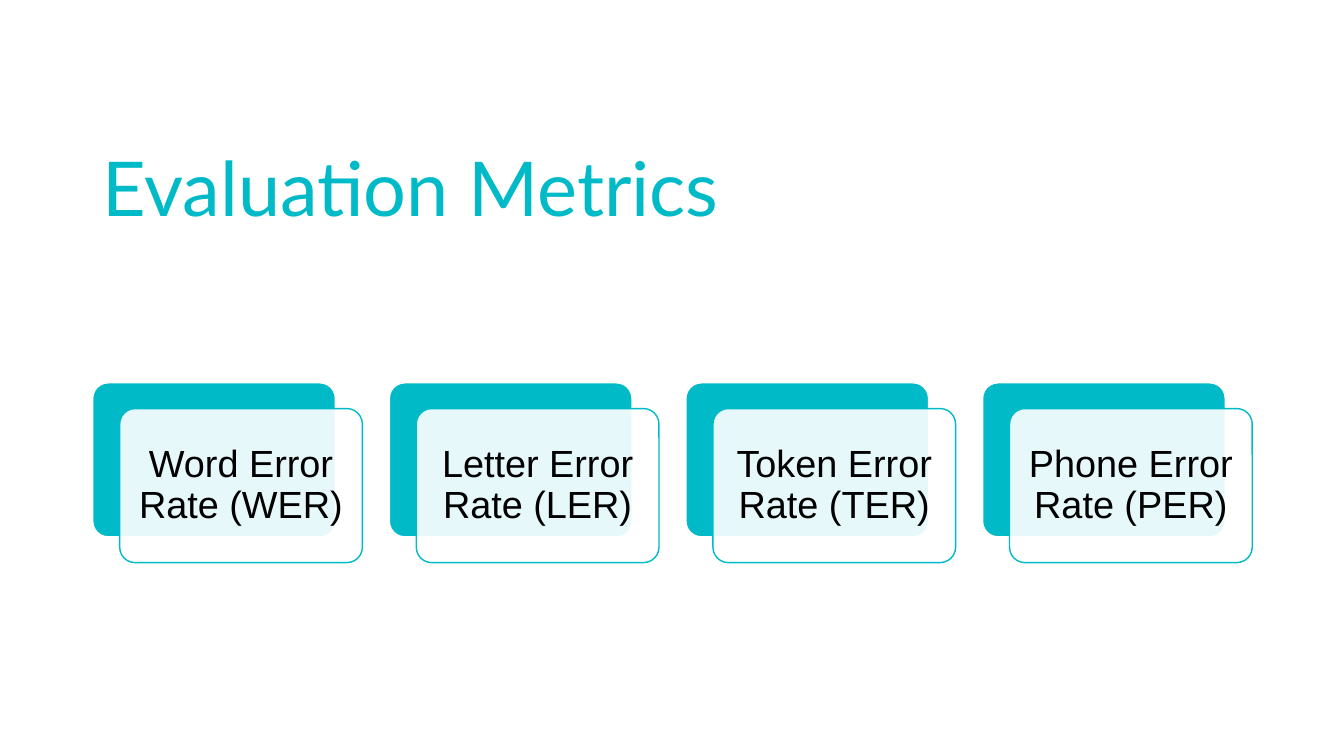
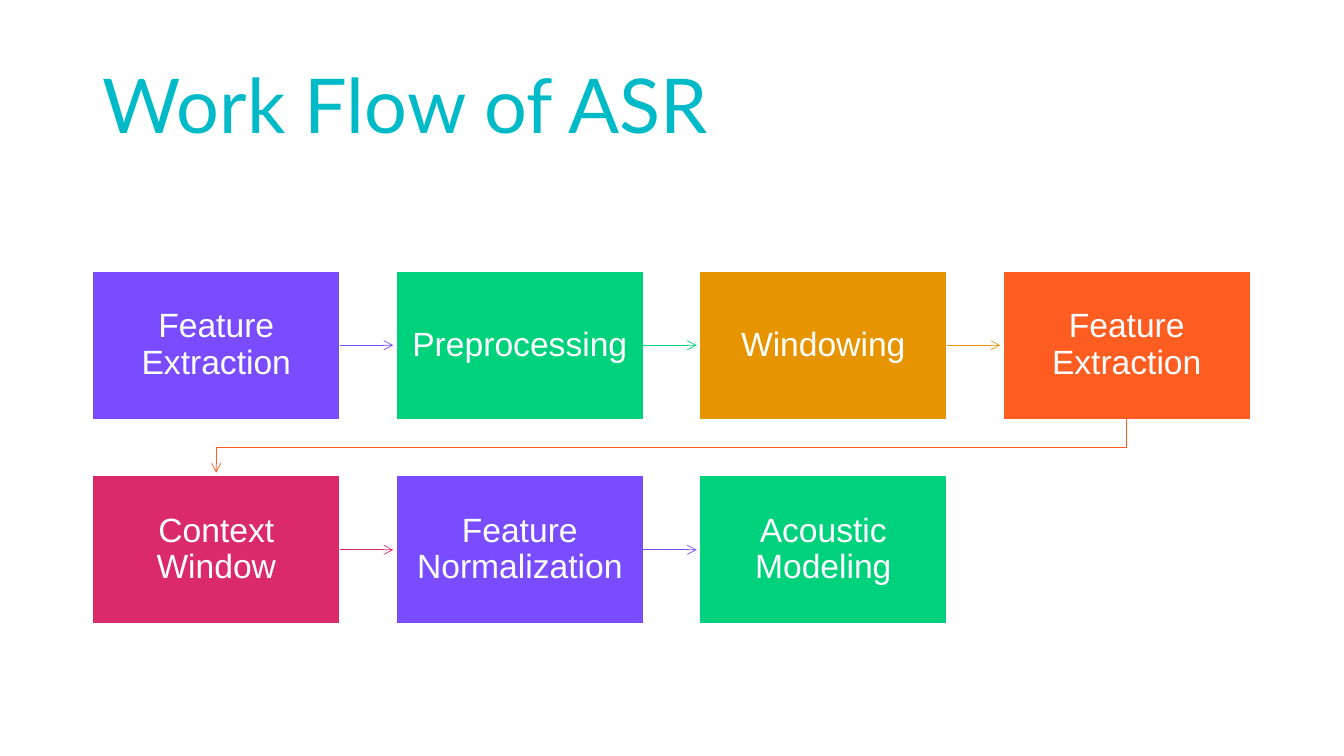
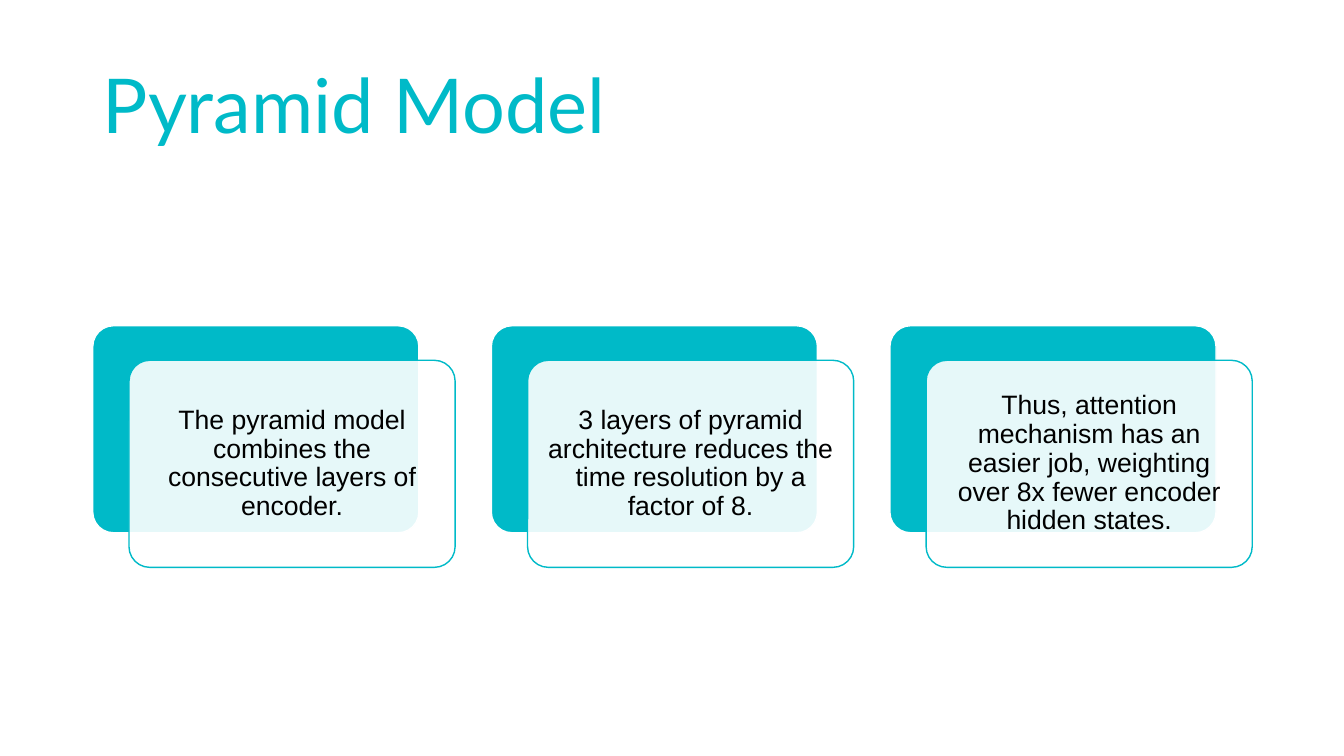
from dataclasses import dataclass

import pptx
import pptx.dml.color
import pptx.enum.shapes
import pptx.enum.text
import pptx.oxml
import pptx.oxml.ns
import pptx.util

Inches = pptx.util.Inches
Pt = pptx.util.Pt
SHAPE = pptx.enum.shapes.MSO_SHAPE
ANCHOR = pptx.enum.text.MSO_ANCHOR
ALIGN = pptx.enum.text.PP_ALIGN

TEAL, WHITE, BLACK = "00BAC8", "FFFFFF", "000000"
VIOLET, GREEN, AMBER, ORANGE, PINK = "794DFF", "00D17D", "E69500", "FE5D21", "DA2A69"

LEFT, SPAN = 0.92, 11.5
BOX_W, BOX_H, BOX_GAP, BOX_TOP, COLUMNS = 2.45, 1.47, 0.56, 2.69, 4
ARROW_LENGTH = 0.53


@dataclass
class CardRow:
    texts: list[str]
    middle: float
    size: int
    inset: float


@dataclass
class Step:
    text: str
    color: str


METRICS = CardRow(
    ["Word Error Rate (WER)", "Letter Error Rate (LER)",
     "Token Error Rate (TER)", "Phone Error Rate (PER)"],
    middle=4.69, size=27, inset=0.11)

PYRAMID = CardRow(
    ["The pyramid model combines the consecutive layers of encoder.",
     "3 layers of pyramid architecture reduces the time resolution by a factor of 8.",
     "Thus, attention mechanism has an easier job, weighting over 8x fewer encoder hidden states."],
    middle=4.43, size=19, inset=0.08)

STEPS = [
    Step("Feature Extraction", VIOLET),
    Step("Preprocessing", GREEN),
    Step("Windowing", AMBER),
    Step("Feature Extraction", ORANGE),
    Step("Context Window", PINK),
    Step("Feature Normalization", VIOLET),
    Step("Acoustic Modeling", GREEN),
]


def rgb(color: str) -> pptx.dml.color.RGBColor:
    return pptx.dml.color.RGBColor.from_string(color)


def write(s, text: str, font: str, size: int, color: str, anchor, align,
          inset_x: float, inset_y: float) -> None:
    tf = s.text_frame
    tf.word_wrap = True
    tf.vertical_anchor = anchor
    tf.margin_left = tf.margin_right = Inches(inset_x)
    tf.margin_top = tf.margin_bottom = Inches(inset_y)
    p = tf.paragraphs[0]
    p.text = text
    p.alignment = align
    p.line_spacing = 0.9
    r = p.runs[0]
    r.font.name = font
    r.font.size = Pt(size)
    r.font.color.rgb = rgb(color)


def add_titled_slide(prs, title: str, height: float = 1.14):
    slide = prs.slides.add_slide(prs.slide_layouts[6])
    s = slide.shapes.add_textbox(Inches(LEFT), Inches(0.4), Inches(SPAN), Inches(height))
    write(s, title, "Lato", 54, TEAL, ANCHOR.BOTTOM, ALIGN.LEFT, 0.1, 0.05)
    return slide


def add_box(slide, kind, x: float, y: float, w: float, h: float, fill: str, line: str):
    s = slide.shapes.add_shape(kind, Inches(x), Inches(y), Inches(w), Inches(h))
    s.shadow.inherit = False
    s.fill.solid()
    s.fill.fore_color.rgb = rgb(fill)
    s.line.color.rgb = rgb(line)
    s.line.width = Pt(1)
    return s


def set_opacity(s, percent: int) -> None:
    color = s.element.spPr.find(".//" + pptx.oxml.ns.qn("a:srgbClr"))
    alpha = pptx.oxml.parse_xml(
        f'<a:alpha {pptx.oxml.ns.nsdecls("a")} val="{percent * 1000}"/>')
    color.append(alpha)


def add_cards(slide, row: CardRow) -> None:
    """Fill the span with pairs of offset cards; all sizes follow from the card width."""
    w = SPAN / ((len(row.texts) - 1) * 11 / 9 + 10 / 9)
    h, shift_x, shift_y = 0.635 * w, w / 9, 0.106 * w
    top = row.middle - (h + shift_y) / 2
    for i, text in enumerate(row.texts):
        x = LEFT + i * w * 11 / 9
        back = add_box(slide, SHAPE.ROUNDED_RECTANGLE, x, top, w, h, TEAL, WHITE)
        front = add_box(slide, SHAPE.ROUNDED_RECTANGLE, x + shift_x, top + shift_y,
                        w, h, WHITE, TEAL)
        for s in (back, front):
            s.adjustments[0] = 0.1
        set_opacity(front, 90)
        write(front, text, "Arial", row.size, BLACK, ANCHOR.MIDDLE, ALIGN.CENTER,
              row.inset, row.inset)


def style_arrow(s, color: str) -> None:
    s.line.color.rgb = rgb(color)
    s.line.width = Pt(0.5)
    ns = pptx.oxml.ns.nsdecls("a")
    s.element.spPr.get_or_add_ln().append(
        pptx.oxml.parse_xml(f'<a:tailEnd {ns} type="arrow"/>'))


def add_side_arrow(slide, box, color: str) -> None:
    x, y = box.left + box.width, box.top + box.height // 2
    s = slide.shapes.add_connector(pptx.enum.shapes.MSO_CONNECTOR.STRAIGHT,
                                   x, y, x + Inches(ARROW_LENGTH), y)
    s.begin_connect(box, 3)
    style_arrow(s, color)
    s.element.spPr.append(
        pptx.oxml.parse_xml(f'<a:effectLst {pptx.oxml.ns.nsdecls("a")}/>'))


def add_wrap_arrow(slide, box, color: str) -> None:
    """Lead from the last box of a row to the first box of the next row."""
    x, y = box.left + box.width // 2, box.top + box.height
    turn = y + Inches(BOX_GAP / 2)
    first_x = Inches(LEFT + BOX_W / 2)
    builder = slide.shapes.build_freeform(x, y)
    builder.add_line_segments(
        [(x, turn), (first_x, turn), (first_x, y + Inches(ARROW_LENGTH))], close=False)
    s = builder.convert_to_shape()
    s.shadow.inherit = False
    s.fill.background()
    style_arrow(s, color)


def add_workflow(slide, steps: list[Step]) -> None:
    for i, step in enumerate(steps):
        row, column = divmod(i, COLUMNS)
        box = add_box(slide, SHAPE.RECTANGLE, LEFT + column * (BOX_W + BOX_GAP),
                      BOX_TOP + row * (BOX_H + BOX_GAP), BOX_W, BOX_H, step.color, WHITE)
        write(box, step.text, "Arial", 24, WHITE, ANCHOR.MIDDLE, ALIGN.CENTER, 0.12, 0.13)
        if i == len(steps) - 1:
            continue
        add_arrow = add_wrap_arrow if column == COLUMNS - 1 else add_side_arrow
        add_arrow(slide, box, step.color)


def main() -> None:
    prs = pptx.Presentation()
    prs.slide_width, prs.slide_height = Inches(13.33), Inches(7.5)
    add_cards(add_titled_slide(prs, "Evaluation Metrics", height=1.96), METRICS)
    add_workflow(add_titled_slide(prs, "Work Flow of ASR"), STEPS)
    add_cards(add_titled_slide(prs, "Pyramid Model"), PYRAMID)
    prs.save("out.pptx")


if __name__ == "__main__":
    main()
